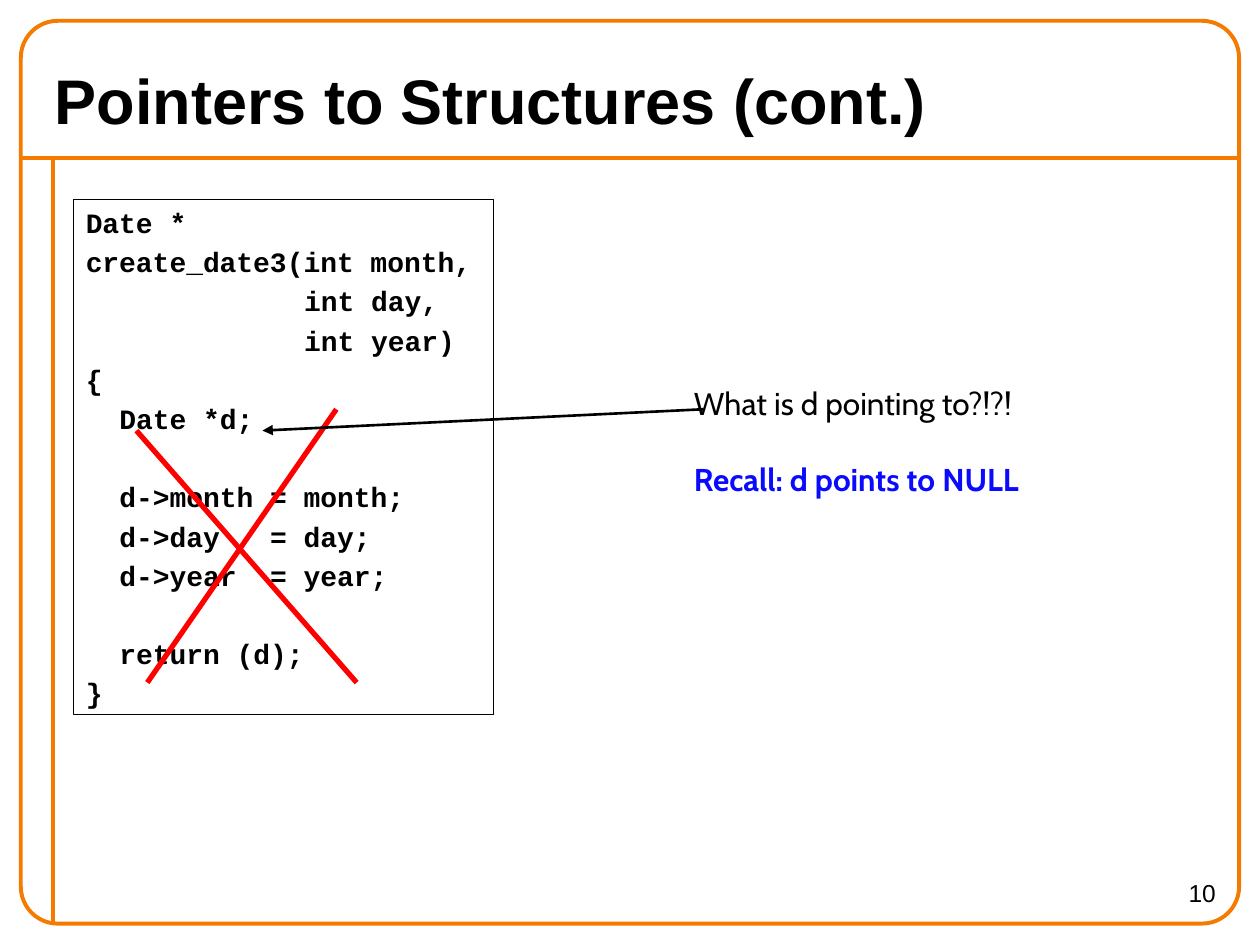
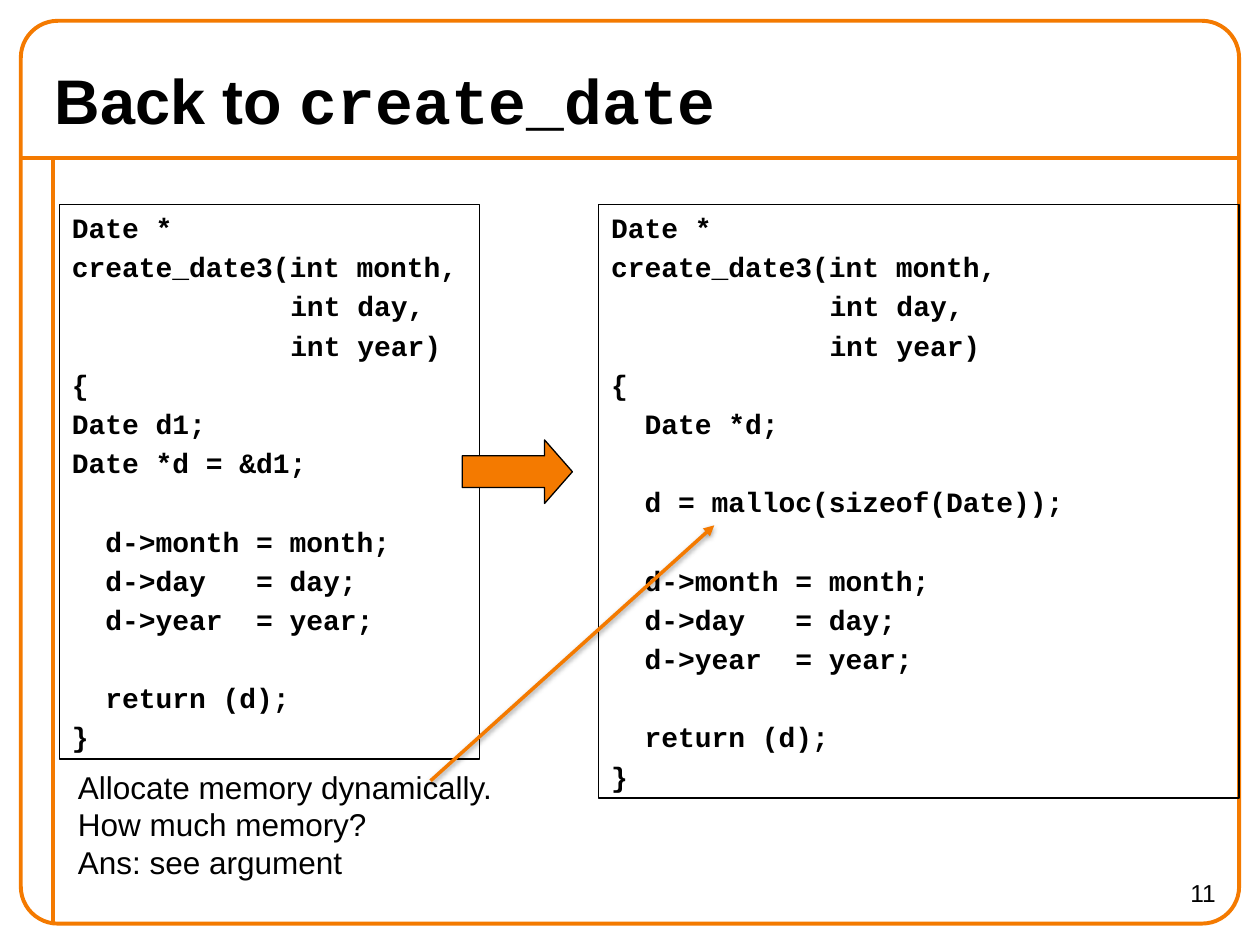
from dataclasses import dataclass

import lxml.etree
import pptx
import pptx.dml.color
import pptx.enum.shapes
import pptx.enum.text
import pptx.oxml
import pptx.oxml.ns
import pptx.util

Cm = pptx.util.Cm
Pt = pptx.util.Pt
Shapes = pptx.enum.shapes.MSO_SHAPE
Align = pptx.enum.text.PP_ALIGN
Anchor = pptx.enum.text.MSO_ANCHOR
qn = pptx.oxml.ns.qn


@dataclass(frozen=True)
class Theme:
    accent: str = "F47A00"
    ink: str = "000000"
    strike: str = "FF0000"
    answer: str = "0A0AFF"
    sans: str = "Arial"
    note: str = "Cabin"
    mono: str = "Courier New"
    title_size: float = 36
    note_size: float = 18
    code_size: float = 16
    number_size: float = 14
    frame_line: float = 2.24
    thin_line: float = 0.74
    code_gap: float = 3.2
    code_pitch: float = 22.4
    note_pitch: float = 21.7


@dataclass(frozen=True)
class Box:
    left: float
    top: float
    width: float
    height: float

    def lengths(self):
        return Cm(self.left), Cm(self.top), Cm(self.width), Cm(self.height)

    def point(self, across, down):
        return Cm(self.left + across), Cm(self.top + down)


THEME = Theme()
CHARACTER = Pt(THEME.code_size * 0.6)
FRAME = Box(0.42, 0.42, 24.56, 18.2)
TITLE = Box(0.85, 1.06, 23.7, 1.9)
NUMBER = Box(22.22, 17.57, 2.54, 1.06)

SIGNATURE = [(0, "Date *"), (0, "create_date3(int month,"),
             (13, "int day,"), (13, "int year)"), (0, "{")]
ASSIGNMENTS = [None] + [(2, f"{'d->' + field:<8} = {field};")
                        for field in ("month", "day", "year")]
ENDING = [None, (2, "return (d);"), (0, "}")]


def function_lines(*declarations):
    return [*SIGNATURE, *declarations, *ASSIGNMENTS, *ENDING]


def rgb(color):
    return pptx.dml.color.RGBColor.from_string(color)


def set_font(font, name, size, color=THEME.ink, bold=False):
    font.name = name
    font.size = Pt(size)
    font.color.rgb = rgb(color)
    font.bold = bold


def add_outlined(slide, preset, box, color, width, fill=None):
    shape = slide.shapes.add_shape(preset, *box.lengths())
    shape.shadow.inherit = False
    shape.line.color.rgb = rgb(color)
    shape.line.width = Pt(width)
    if fill:
        shape.fill.solid()
        shape.fill.fore_color.rgb = rgb(fill)
    else:
        shape.fill.background()
    return shape


def add_line(slide, start, end, color, width, arrow=False, shadow=False):
    connector = slide.shapes.add_connector(
        pptx.enum.shapes.MSO_CONNECTOR.STRAIGHT, *start, *end)
    connector.line.color.rgb = rgb(color)
    connector.line.width = Pt(width)
    if arrow:
        tail = lxml.etree.SubElement(connector.get_or_add_ln(), qn("a:tailEnd"))
        tail.set("type", "triangle")
    effects = lxml.etree.SubElement(connector.element.spPr, qn("a:effectLst"))
    if shadow:
        effects.append(pptx.oxml.parse_xml(
            '<a:outerShdw xmlns:a="http://schemas.openxmlformats.org/drawingml/2006/main"'
            ' blurRad="40000" dist="20000" dir="5400000" rotWithShape="0">'
            '<a:srgbClr val="000000"><a:alpha val="38000"/></a:srgbClr></a:outerShdw>'))
    return connector


def add_frame(slide, master, box):
    rule = 2.76
    margin = 0.64
    parts = [
        add_line(slide, box.point(0, rule), box.point(box.width, rule),
                 THEME.accent, THEME.frame_line),
        add_line(slide, box.point(margin, rule), box.point(margin, box.height),
                 THEME.accent, THEME.frame_line),
        add_outlined(slide, Shapes.ROUNDED_RECTANGLE, box,
                     THEME.accent, THEME.frame_line),
    ]
    parts[-1].adjustments[0] = 0.041
    for part in parts:
        master.shapes.element.append(part.element)


def add_title(slide, box, runs):
    title = slide.shapes.title
    title.left, title.top, title.width, title.height = box.lengths()
    frame = title.text_frame
    frame.auto_size = pptx.enum.text.MSO_AUTO_SIZE.NONE
    frame.vertical_anchor = Anchor.MIDDLE
    paragraph = frame.paragraphs[0]
    paragraph.alignment = Align.LEFT
    for text, font_name in runs:
        run = paragraph.add_run()
        run.text = text
        set_font(run.font, font_name, THEME.title_size, bold=True)


def add_number(slide, box, number):
    frame = slide.shapes.add_textbox(*box.lengths()).text_frame
    frame.word_wrap = True
    paragraph = frame.paragraphs[0]
    paragraph.text = str(number)
    paragraph.alignment = Align.RIGHT
    set_font(paragraph.font, THEME.sans, THEME.number_size)


def set_indent(paragraph, columns):
    properties = paragraph._p.get_or_add_pPr()
    properties.set("marL", str(columns * CHARACTER))
    properties.set("indent", "0")


def add_code(slide, box, lines):
    shape = add_outlined(slide, Shapes.RECTANGLE, box, THEME.ink, THEME.thin_line)
    frame = shape.text_frame
    frame.word_wrap = True
    frame.vertical_anchor = Anchor.TOP
    paragraph = frame.paragraphs[0]
    gap = THEME.code_gap
    for line in lines:
        if line is None:
            gap += THEME.code_pitch
            continue
        columns, text = line
        if paragraph.text:
            paragraph = frame.add_paragraph()
        paragraph.text = text
        paragraph.alignment = Align.LEFT
        set_indent(paragraph, columns)
        paragraph.space_before = Pt(gap)
        set_font(paragraph.font, THEME.mono, THEME.code_size, bold=True)
        gap = THEME.code_gap


def add_note(slide, box, lines, font_name):
    frame = slide.shapes.add_textbox(*box.lengths()).text_frame
    frame.word_wrap = False
    for index, text in enumerate(lines):
        paragraph = frame.add_paragraph() if index else frame.paragraphs[0]
        paragraph.text = text
        paragraph.alignment = Align.LEFT
        set_font(paragraph.font, font_name, THEME.note_size)
    return frame.paragraphs


def add_null_pointer(slide, box):
    add_code(slide, box, function_lines((2, "Date *d;")))
    for start, end in [((1.27, 4.66), (5.71, 9.74)), ((1.49, 9.74), (5.3, 4.23))]:
        add_line(slide, box.point(*start), box.point(*end), THEME.strike, 3)
    add_line(slide, box.point(12.7, 4.23), box.point(3.81, 4.66),
             THEME.ink, 1.5, arrow=True)
    note = Box(box.left + 12.26, box.top + 3.6, 9.1, 2.54)
    question, answer = add_note(
        slide, note, ["What is d pointing to?!?!", "Recall: d points to NULL"],
        THEME.note)
    answer.space_before = Pt(THEME.note_pitch)
    set_font(answer.font, THEME.note, THEME.note_size, THEME.answer, True)


def add_allocation(slide, box):
    add_code(slide, Box(box.left, box.top, 8.47, 11.18),
             function_lines((0, "Date d1;"), (0, "Date *d = &d1;")))
    arrow = add_outlined(slide, Shapes.RIGHT_ARROW,
                         Box(box.left + 8.12, box.top + 4.75, 2.22, 1.28),
                         THEME.ink, THEME.thin_line, THEME.accent)
    arrow.adjustments[1] = 0.438
    add_code(slide, Box(box.left + 10.87, box.top, box.width - 10.87, box.height),
             function_lines((2, "Date *d;"), None, (2, "d = malloc(sizeof(Date));")))
    add_note(slide, Box(box.left + 0.12, box.top + 11.23, 9, 2.54),
             ["Allocate memory dynamically.", "How much memory?", "Ans: see argument"],
             THEME.sans)
    add_line(slide, box.point(7.48, 11.62), box.point(13.2, 6.47),
             THEME.accent, 2, arrow=True, shadow=True)


def main():
    presentation = pptx.Presentation()
    presentation.slide_width = Cm(25.4)
    presentation.slide_height = Cm(19.05)
    pages = [
        ([("Pointers to Structures (cont.)", THEME.sans)],
         add_null_pointer, Box(1.48, 4.02, 8.47, 10.39)),
        ([("Back to ", THEME.sans), ("create_date", THEME.mono)],
         add_allocation, Box(1.2, 4.12, 23.78, 11.97)),
    ]
    for number, (title, add_content, box) in enumerate(pages, start=10):
        slide = presentation.slides.add_slide(presentation.slide_layouts[5])
        add_title(slide, TITLE, title)
        add_number(slide, NUMBER, number)
        add_content(slide, box)
    add_frame(slide, presentation.slide_master, FRAME)
    presentation.save("out.pptx")


main()
